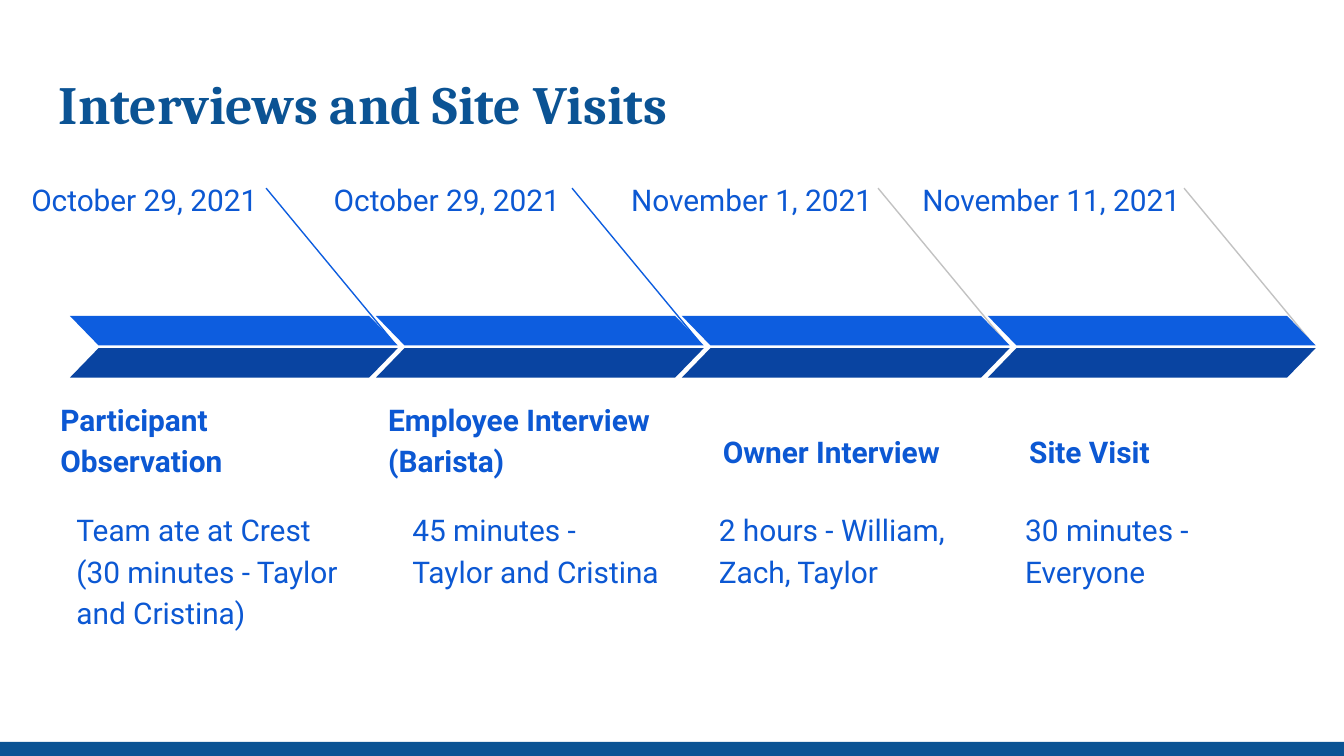
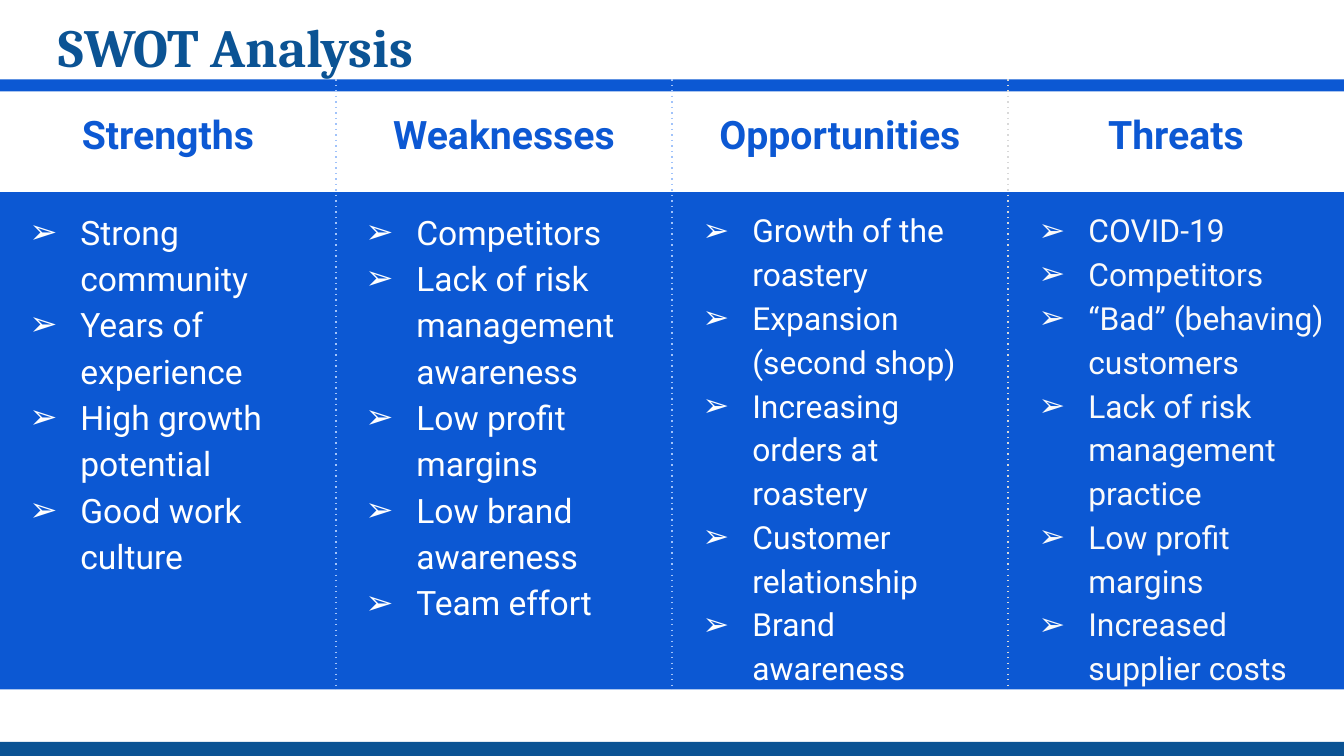
from dataclasses import dataclass

from lxml import etree
from pptx import Presentation
from pptx import util as u
from pptx.dml.color import RGBColor
from pptx.enum import shapes, text
from pptx.oxml.ns import qn
from pptx.util import Inches


@dataclass(frozen=True)
class Theme:
    navy: str = "0B5394"
    blue: str = "0C58D3"
    arrow_top: str = "0D5DDF"
    arrow_bottom: str = "0944A1"
    grey: str = "C2C2C2"
    dots_blue: str = "A1C3FA"
    dots_grey: str = "D9D9D9"
    white: str = "FFFFFF"
    off_white: str = "FAFAFA"
    title_font: str = "Cambria"
    body_font: str = "Roboto"
    title_size: float = 28.8
    heading_size: float = 21
    body_size: float = 16


THEME = Theme()
PAGE_WIDTH = Inches(10)
PAGE_HEIGHT = PAGE_WIDTH * 9 // 16


@dataclass(frozen=True)
class Place:
    """A rectangle on the page, in inches."""
    left: float
    top: float
    width: float
    height: float

    def lengths(self):
        return [Inches(n) for n in (self.left, self.top, self.width, self.height)]


@dataclass(frozen=True)
class Stage:
    date: str
    date_place: Place
    name: str
    name_place: Place
    detail: str
    detail_place: Place
    line_colour: str


@dataclass(frozen=True)
class Column:
    heading: str
    points: tuple[str, ...]
    size: float
    hang: float
    colour: str = THEME.white


STAGES = (
    Stage("October 29, 2021 ", Place(0.1, 1.21, 1.97, 0.42),
          "Participant Observation", Place(0.35, 2.96, 2.48, 0.7),
          "Team ate at Crest (30 minutes - Taylor and Cristina)",
          Place(0.47, 3.67, 2.29, 1.15), THEME.arrow_top),
    Stage("October 29, 2021 ", Place(2.24, 1.21, 2.08, 0.38),
          "Employee Interview (Barista)", Place(2.79, 2.96, 2.48, 0.7),
          "45 minutes - Taylor and Cristina",
          Place(2.97, 3.67, 2.06, 1.15), THEME.arrow_top),
    Stage("November 1, 2021", Place(4.46, 1.21, 2.13, 0.38),
          "Owner Interview", Place(5.28, 2.89, 2, 0.7),
          "2 hours - William, Zach, Taylor",
          Place(5.25, 3.67, 2.06, 1.15), THEME.grey),
    Stage("November 11, 2021", Place(6.63, 1.21, 2.25, 0.38),
          "Site Visit", Place(7.56, 2.89, 2, 0.7),
          "30 minutes - Everyone",
          Place(7.53, 3.67, 2.06, 1.15), THEME.grey),
)
FIRST_ARROW, LAST_ARROW = 0.52, 7.35

COLUMNS = (
    Column("Strengths", ("Strong community", "Years of experience",
                         "High growth potential", "Good work culture"), 18, 0.38),
    Column("Weaknesses", ("Competitors", "Lack of risk management awareness",
                          "Low profit margins", "Low brand awareness",
                          "Team effort"), 18, 0.38),
    Column("Opportunities", ("Growth of the roastery", "Expansion (second shop)",
                             "Increasing orders at roastery",
                             "Customer relationship", "Brand awareness"), 17, 0.37),
    Column("Threats", ("COVID-19", "Competitors", "“Bad” (behaving) customers",
                       "Lack of risk management practice", "Low profit margins",
                       "Increased supplier costs"), 17, 0.37, THEME.off_white),
)
COLUMN_WIDTH = 2.5
DIVIDER_COLOURS = (THEME.dots_blue, THEME.dots_blue, THEME.dots_grey)


def rgb(colour: str) -> RGBColor:
    return RGBColor.from_string(colour)


def add_bullet(para, colour: str, hang: float) -> None:
    properties = para._p.get_or_add_pPr()
    properties.set("marL", str(Inches(0.5)))
    properties.set("indent", str(-Inches(hang)))
    tint = etree.SubElement(properties, qn("a:buClr"))
    etree.SubElement(tint, qn("a:srgbClr")).set("val", colour)
    etree.SubElement(properties, qn("a:buFont")).set("typeface", THEME.body_font)
    etree.SubElement(properties, qn("a:buChar")).set("char", "➢")


def write(box, *lines: str, size: float = THEME.body_size, colour: str = THEME.blue,
          font: str = THEME.body_font, bold: bool = False,
          align=text.PP_ALIGN.LEFT, anchor=text.MSO_ANCHOR.TOP,
          spacing: float = 1.15, hang: float = 0) -> None:
    """Fill a box with one paragraph per line; a hang makes them bullets."""
    frame = box.text_frame
    frame.word_wrap = True
    frame.auto_size = text.MSO_AUTO_SIZE.NONE
    frame.vertical_anchor = anchor
    frame.margin_left = frame.margin_right = Inches(0.1)
    frame.margin_top = frame.margin_bottom = Inches(0.1)
    for index, line in enumerate(lines):
        para = frame.add_paragraph() if index else frame.paragraphs[0]
        if hang:
            add_bullet(para, colour, hang)
        para.alignment = align
        para.line_spacing = spacing
        span = para.add_run()
        span.text = line
        span.font.name = font
        span.font.size = u.Pt(size)
        span.font.bold = bold
        span.font.color.rgb = rgb(colour)


def add_text(page, place: Place, line: str, **style) -> None:
    write(page.shapes.add_textbox(*place.lengths()), line, **style)


def add_block(page, place: Place, colour: str, kind=shapes.MSO_SHAPE.RECTANGLE):
    block = page.shapes.add_shape(kind, *place.lengths())
    block.shadow.inherit = False
    block.fill.solid()
    block.fill.fore_color.rgb = rgb(colour)
    block.line.fill.background()
    return block


def add_line(page, start: tuple[float, float], end: tuple[float, float],
             colour: str, dotted: bool = False) -> None:
    line = page.shapes.add_connector(shapes.MSO_CONNECTOR.STRAIGHT,
                                     *(Inches(n) for n in start + end))
    line.line.color.rgb = rgb(colour)
    line.line.width = u.Pt(0.75)
    properties = line._element.spPr
    if dotted:
        outline = properties.find(qn("a:ln"))
        etree.SubElement(outline, qn("a:prstDash")).set("val", "dot")
    etree.SubElement(properties, qn("a:effectLst"))


def add_page(deck, title: str, title_top: float):
    """Add a page with the shared footer band and title."""
    page = deck.slides.add_slide(deck.slide_layouts[6])
    add_block(page, Place(0, 5.52, 10, 0.11), THEME.navy)
    add_text(page, Place(0.34, title_top, 9.32, 0.68), title,
             size=THEME.title_size, colour=THEME.navy, font=THEME.title_font,
             bold=True, spacing=1)
    return page


def add_arrow(page, left: float) -> None:
    """Draw two mirrored halves that form one arrow of the timeline."""
    for top, colour, flipped in ((2.35, THEME.arrow_top, True),
                                 (2.59, THEME.arrow_bottom, False)):
        half = add_block(page, Place(left, top, 2.44, 0.22), colour,
                         shapes.MSO_SHAPE.PARALLELOGRAM)
        half.adjustments[0] = 0.97
        if flipped:
            half._element.spPr.xfrm.set("flipH", "1")


def build_timeline(deck) -> None:
    page = add_page(deck, "Interviews and Site Visits", 0.43)
    pitch = (LAST_ARROW - FIRST_ARROW) / (len(STAGES) - 1)
    for index, stage in enumerate(STAGES):
        left = FIRST_ARROW + index * pitch
        add_text(page, stage.date_place, stage.date, align=text.PP_ALIGN.RIGHT)
        add_text(page, stage.name_place, stage.name, bold=True,
                 anchor=text.MSO_ANCHOR.BOTTOM)
        add_text(page, stage.detail_place, stage.detail)
        add_line(page, (left + 1.46, 1.4), (left + 2.42, 2.56), stage.line_colour)
        add_arrow(page, left)


def build_swot(deck) -> None:
    page = add_page(deck, "SWOT Analysis", 0)
    for index, column in enumerate(COLUMNS):
        left = index * COLUMN_WIDTH
        add_block(page, Place(left, 0.59, COLUMN_WIDTH, 0.09), THEME.blue)
        add_text(page, Place(left, 0.67, COLUMN_WIDTH, 0.76), column.heading,
                 size=THEME.heading_size, bold=True, align=text.PP_ALIGN.CENTER)
        panel = add_block(page, Place(left, 1.43, COLUMN_WIDTH, 3.7), THEME.blue)
        write(panel, *column.points, size=column.size, colour=column.colour,
              hang=column.hang)
    for index, colour in enumerate(DIVIDER_COLOURS, start=1):
        x = index * COLUMN_WIDTH
        add_line(page, (x, 0.59), (x, 5.12), colour, dotted=True)


def main() -> None:
    deck = Presentation()
    deck.slide_width, deck.slide_height = PAGE_WIDTH, PAGE_HEIGHT
    build_timeline(deck)
    build_swot(deck)
    deck.save("out.pptx")


if __name__ == "__main__":
    main()
